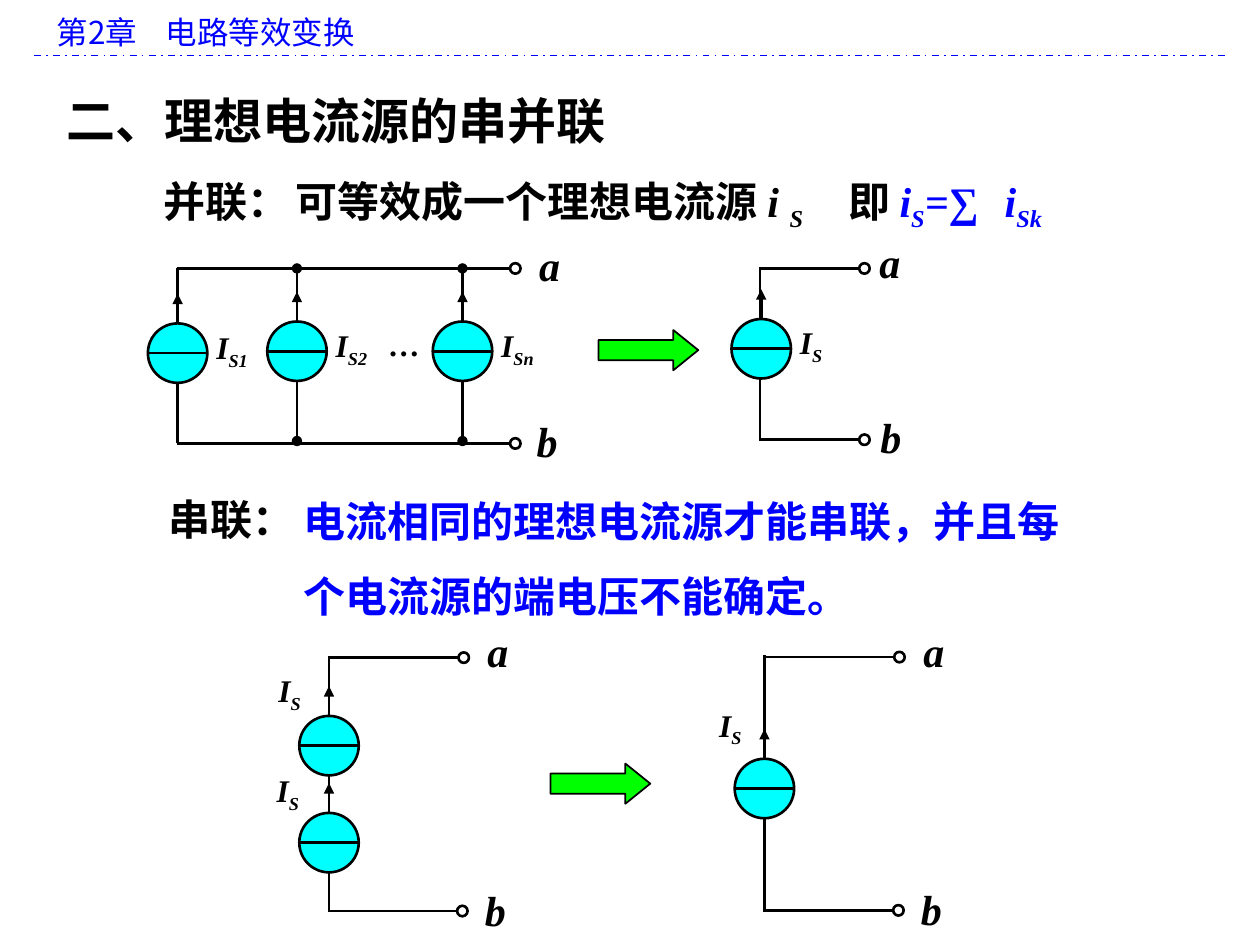
from dataclasses import dataclass

from lxml import etree
from pptx import Presentation
from pptx.dml.color import RGBColor
from pptx.enum.dml import MSO_LINE
from pptx.enum.shapes import MSO_CONNECTOR, MSO_SHAPE
from pptx.enum.text import MSO_ANCHOR, MSO_AUTO_SIZE, PP_ALIGN
from pptx.oxml.ns import qn
from pptx.util import Pt

STRAIGHT = MSO_CONNECTOR.STRAIGHT
OVAL, ARROW = MSO_SHAPE.OVAL, MSO_SHAPE.RIGHT_ARROW
DASH_DOT = MSO_LINE.DASH_DOT
FIT, TOP, LEFT = MSO_AUTO_SIZE.SHAPE_TO_FIT_TEXT, MSO_ANCHOR.TOP, PP_ALIGN.LEFT
COLORS = {"ink": "000000", "blue": "0000FF", "cyan": "00FFFF", "green": "00FF00"}
SERIF, SANS = "Times New Roman", "Noto Sans CJK SC"
SIZE, DOT, ARM = 34, 6, 17  # source, terminal, current arrow


@dataclass
class Part:
    text: str
    color: str = "ink"
    italic: bool = False
    sub: bool = False
    bold: bool = True
    font: str = SERIF


@dataclass
class Source:
    x: float
    y: float
    sub: str = "S"
    dx: float = 15
    dy: float = -18


@dataclass
class Branch:
    x: float
    top: float
    bottom: float
    dots: bool = False


@dataclass
class Port:
    """Open terminal, centred on x and y, with its label box."""
    name: str
    x: float
    y: float
    left: float
    top: float


@dataclass
class Circuit:
    left: float
    branches: list[Branch]
    sources: list[Source]
    ports: list[Port]


CIRCUITS = [
    Circuit(101,
            [Branch(101.5, 153.4, 253.4), Branch(169.7, 153.4, 252, True),
             Branch(264.3, 153.4, 252, True)],
            [Source(101.5, 201.8, "S1"), Source(169.7, 200.7, "S2"),
             Source(264.3, 200.7, "Sn")],
            [Port("a", 294.5, 153.4, 301, 133.2), Port("b", 294.5, 253.4, 299.5, 234)]),
    Circuit(434.2, [Branch(434.2, 152.7, 252)], [Source(435, 199.3)],
            [Port("a", 494, 153.4, 495.4, 131.8), Port("b", 494, 251.3, 496, 231.8)]),
    Circuit(188, [Branch(188, 375.1, 521.3)],
            [Source(188, 426.1, "S", -36, -46), Source(188, 481.5, "S", -37, -44.5)],
            [Port("a", 265, 375.8, 271.4, 354.2), Port("b", 264.2, 520.6, 270, 501.8)]),
    Circuit(437, [Branch(437, 374.4, 521.3)], [Source(436.8, 450.6, "S", -33, -51)],
            [Port("a", 514, 375.5, 520.6, 354.2), Port("b", 513.4, 520.2, 519.1, 501.1)]),
]


def rgb(name: str) -> RGBColor:
    return RGBColor.from_string(COLORS[name])


def write(frame, parts: list[Part], size: float, tabs=(), space=1.0) -> None:
    """Fill a text frame with one paragraph of styled runs."""
    frame.vertical_anchor = TOP
    para = frame.paragraphs[0]
    para.alignment = LEFT
    para.line_spacing = space
    if tabs:
        stops = etree.SubElement(para._p.get_or_add_pPr(), qn("a:tabLst"))
        for stop in tabs:
            etree.SubElement(stops, qn("a:tab"), pos=str(Pt(stop)), algn="l")
    for part in parts:
        run = para.add_run()
        run.text = part.text
        font = run.font
        font.size, font.bold, font.italic = Pt(size), part.bold, part.italic
        font.color.rgb = rgb(part.color)
        font.name = part.font
        props = run._r.get_or_add_rPr()
        etree.SubElement(props, qn("a:ea"), typeface=SANS)
        if part.sub:
            props.set("baseline", "-25000")


def text(shapes, x, y, w, h, parts: list[Part], size=24, tabs=(), space=1.0) -> None:
    frame = shapes.add_textbox(Pt(x), Pt(y), Pt(w), Pt(h)).text_frame
    frame.word_wrap = True
    frame.auto_size = FIT
    write(frame, parts, size, tabs, space)


def wire(shapes, x1, y1, x2, y2, head="", tail="", color="ink", width=1.5):
    line = shapes.add_connector(STRAIGHT, Pt(x1), Pt(y1), Pt(x2), Pt(y2))
    line.line.color.rgb = rgb(color)
    line.line.width = Pt(width)
    for tag, kind in (("a:headEnd", head), ("a:tailEnd", tail)):
        if kind:
            etree.SubElement(line.line._get_or_add_ln(), qn(tag), type=kind)
    etree.SubElement(line._element.spPr, qn("a:effectLst"))
    return line


def solid(shapes, kind, x, y, w, h, fill="", width=1.5):
    shape = shapes.add_shape(kind, Pt(x), Pt(y), Pt(w), Pt(h))
    shape.shadow.inherit = False
    if fill:
        shape.fill.solid()
        shape.fill.fore_color.rgb = rgb(fill)
    else:
        shape.fill.background()
    shape.line.color.rgb = rgb("ink")
    shape.line.width = Pt(width)
    return shape


def draw_source(shapes, src: Source) -> None:
    half = SIZE / 2
    top = src.y - half
    wire(shapes, src.x, top - ARM, src.x, top, head="triangle")
    solid(shapes, OVAL, src.x - half, top, SIZE, SIZE, "cyan")
    wire(shapes, src.x - half, src.y, src.x + half, src.y)
    text(shapes, src.x + src.dx, src.y + src.dy, 43, 29,
         [Part("I", italic=True), Part(src.sub, italic=True, sub=True)], 18)


def draw_port(shapes, port: Port, left: float) -> None:
    edge = port.x - DOT / 2
    wire(shapes, left, port.y, edge, port.y)
    solid(shapes, OVAL, edge, port.y - DOT / 2, DOT, DOT)
    text(shapes, port.left, port.top, 37, 36, [Part(port.name, italic=True)])


def draw_circuit(shapes, circuit: Circuit) -> None:
    for arm in circuit.branches:
        end = "oval" if arm.dots else ""
        wire(shapes, arm.x, arm.top, arm.x, arm.bottom, end, end)
    for src in circuit.sources:
        draw_source(shapes, src)
    for port in circuit.ports:
        draw_port(shapes, port, circuit.left)


def main() -> None:
    deck = Presentation()
    deck.slide_width, deck.slide_height = Pt(720), Pt(540)
    slide = deck.slides.add_slide(deck.slide_layouts[5])
    shapes = slide.shapes

    title = shapes.title
    title.left, title.top, title.width, title.height = Pt(31), Pt(48.2), Pt(667), Pt(41)
    title.text_frame.auto_size = FIT
    write(title.text_frame, [Part("二、理想电流源的串并联")], 28)

    text(shapes, 25.2, 3.6, 675, 29,
         [Part("第2章\t电路等效变换", "blue", bold=False, font=SANS)], 18, [62.5])
    rule = wire(shapes, 19.5, 31.8, 700, 31.8, color="blue", width=1)
    rule.line.dash_style = DASH_DOT

    text(shapes, 86.4, 96.5, 92, 36, [Part("并联：")])
    text(shapes, 162, 96.5, 525, 36, [
        Part("可等效成一个理想电流源 "), Part("i ", italic=True),
        Part("S\t", italic=True, sub=True), Part("即 "),
        Part("i", "blue", True), Part("S", "blue", True, True),
        Part("=", "blue", True), Part("∑\t", "blue"),
        Part("i", "blue", True), Part("Sk", "blue", True, True)], tabs=[315.5, 405])
    text(shapes, 89.3, 278.6, 96, 36, [Part("串联：")])
    text(shapes, 166.3, 265, 457, 94,
         [Part("电流相同的理想电流源才能串联，并且每个电流源的端电压不能确定。", "blue")],
         space=1.5)

    for x, y in ((342, 188.6), (314.6, 436.3)):
        arrow = solid(shapes, ARROW, x, y, 57, 23, "green", 1)
        arrow.adjustments[0], arrow.adjustments[1] = 0.5, 0.62
    for circuit in CIRCUITS:
        draw_circuit(shapes.add_group_shape().shapes, circuit)
    text(shapes, 215.3, 182.2, 43, 29, [Part("…", italic=True)], 18)

    deck.save("out.pptx")


if __name__ == "__main__":
    main()
